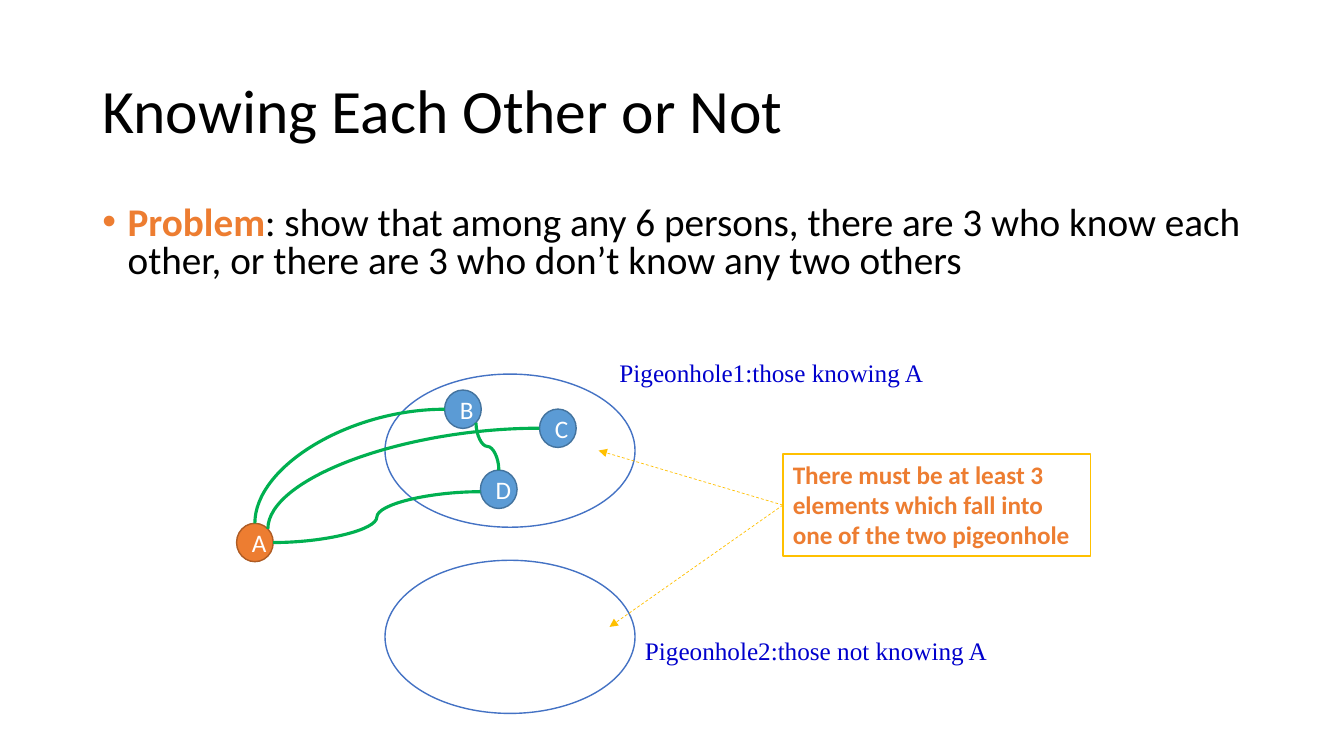
from lxml import etree
from pptx import Presentation
from pptx.dml.color import RGBColor
from pptx.enum.dml import MSO_LINE
from pptx.enum.shapes import MSO_CONNECTOR, MSO_SHAPE
from pptx.enum.text import MSO_ANCHOR, MSO_AUTO_SIZE, PP_ALIGN
from pptx.oxml.ns import qn
from pptx.util import Pt

OVAL, RECTANGLE = MSO_SHAPE.OVAL, MSO_SHAPE.RECTANGLE
STRAIGHT, CURVE = MSO_CONNECTOR.STRAIGHT, MSO_CONNECTOR.CURVE
DASH = MSO_LINE.DASH
LEFT, CENTER = PP_ALIGN.LEFT, PP_ALIGN.CENTER
TOP, MIDDLE = MSO_ANCHOR.TOP, MSO_ANCHOR.MIDDLE
NO_FIT, GROW = MSO_AUTO_SIZE.NONE, MSO_AUTO_SIZE.SHAPE_TO_FIT_TEXT
LEFT_SIDE = 1
SANS, SERIF = "Calibri", "Times New Roman"
BLACK, WHITE, ORANGE = "000000", "FFFFFF", "ED7D31"
GREEN, GOLD, NAVY = "00B050", "FFC000", "0000CC"
PERSON_WIDTH, PERSON_HEIGHT = 26.2, 27.4


def color(hex_value):
    return RGBColor.from_string(hex_value)


def set_font(font, size, hex_value, name=SANS, bold=False):
    font.name, font.size, font.bold = name, Pt(size), bold
    font.color.rgb = color(hex_value)


def place(shape, box):
    shape.left, shape.top, shape.width, shape.height = map(Pt, box)


def add_outlined(slide, kind, box, fill, line):
    shape = slide.shapes.add_shape(kind, *map(Pt, box))
    shape.shadow.inherit = False
    shape.fill.solid()
    shape.fill.fore_color.rgb = color(fill)
    shape.line.color.rgb = color(line)
    shape.line.width = Pt(1)
    return shape


def add_line(slide, kind, start, end, hex_value, width):
    connector = slide.shapes.add_connector(kind, *map(Pt, (*start, *end)))
    connector.line.color.rgb = color(hex_value)
    connector.line.width = Pt(width)
    etree.SubElement(connector._element.spPr, qn("a:effectLst"))
    return connector


def add_bend(slide, start, end):
    """Curve that leaves sideways and arrives vertically."""
    bend = add_line(slide, CURVE, start, end, GREEN, 2.25)
    bend._element.spPr.find(qn("a:prstGeom")).set("prst", "curvedConnector2")


def add_upright_wave(slide, start, end):
    """S-curve that leaves and arrives vertically: a sideways one turned by 270°."""
    middle_x, middle_y = (start[0] + end[0]) / 2, (start[1] + end[1]) / 2
    half_length, half_width = (end[1] - start[1]) / 2, (end[0] - start[0]) / 2
    wave = add_line(slide, CURVE, (middle_x + half_length, middle_y - half_width),
                    (middle_x - half_length, middle_y + half_width), GREEN, 2.25)
    wave._element.spPr.find(qn("a:xfrm")).set("rot", "16200000")


def fill_title(slide, box):
    title = slide.shapes.title
    place(title, box)
    frame = title.text_frame
    frame.text = "Knowing Each Other or Not"
    frame.vertical_anchor, frame.auto_size = MIDDLE, NO_FIT
    paragraph = frame.paragraphs[0]
    paragraph.alignment, paragraph.line_spacing = LEFT, 0.9
    set_font(paragraph.font, 44, BLACK)


def fill_problem(slide, box):
    body = slide.placeholders[1]
    place(body, box)
    frame = body.text_frame
    frame.vertical_anchor, frame.auto_size = TOP, NO_FIT
    paragraph = frame.paragraphs[0]
    paragraph.line_spacing, paragraph.space_before = 0.8, Pt(0)
    properties = paragraph._p.get_or_add_pPr()
    properties.set("marL", str(Pt(18)))
    properties.set("indent", str(-Pt(18)))
    etree.SubElement(properties, qn("a:buFont")).set("typeface", "Arial")
    etree.SubElement(properties, qn("a:buChar")).set("char", "•")
    for text, hex_value, bold in (
            ("Problem", ORANGE, True),
            (": show that among any 6 persons, there are 3 who know each other, "
             "or there are 3 who don’t know any two others", BLACK, False)):
        run = paragraph.add_run()
        run.text = text
        set_font(run.font, 28, hex_value, bold=bold)


def add_label(slide, text, box):
    label = slide.shapes.add_textbox(*map(Pt, box))
    frame = label.text_frame
    frame.word_wrap, frame.auto_size = False, GROW
    frame.text = text
    set_font(frame.paragraphs[0].font, 18, NAVY, SERIF)


def add_person(slide, name, left, top, fill="5B9BD5", line="43739E"):
    person = add_outlined(slide, OVAL, (left, top, PERSON_WIDTH, PERSON_HEIGHT), fill, line)
    frame = person.text_frame
    frame.text, frame.vertical_anchor = name, MIDDLE
    paragraph = frame.paragraphs[0]
    paragraph.alignment = CENTER
    set_font(paragraph.font, 18, WHITE)


def draw_pigeonholes(slide, box):
    left, top, width, height = box

    # Two pigeonholes and their labels
    hole_left, hole_width, hole_height = left + 106, 178.6, 109.4
    for hole_top in (top + 15.2, top + 148.2):
        add_outlined(slide, OVAL, (hole_left, hole_top, hole_width, hole_height), WHITE, "4472C4")
    add_label(slide, "Pigeonhole1:those knowing A", (left + 266.4, top, 234, 29))
    add_label(slide, "Pigeonhole2:those not knowing A", (left + 284.6, top + 198.6, 261, 29))

    # Persons
    a_left, a_top = left, top + 121.8
    b_left, b_top = left + 148.6, top + 26.6
    c_left, c_top = left + 216.4, top + 40.2
    d_left, d_top = left + 174.2, top + 83.8
    add_person(slide, "A", a_left, a_top, ORANGE, "AF5C24")
    for name, x, y in (("B", b_left, b_top), ("C", c_left, c_top), ("D", d_left, d_top)):
        add_person(slide, name, x, y)

    # Acquaintances
    half_width, half_height = PERSON_WIDTH / 2, PERSON_HEIGHT / 2
    add_bend(slide, (b_left, b_top + half_height), (a_left + half_width, a_top))
    add_bend(slide, (c_left, c_top + half_height), (a_left + 22.4, a_top + 4))
    add_line(slide, CURVE, (d_left, d_top + 15.4),
             (a_left + PERSON_WIDTH, a_top + half_height), GREEN, 2.25)
    add_upright_wave(slide, (b_left + 22.4, b_top + 23.4), (d_left + half_width, d_top))

    # Conclusion with an arrow into each pigeonhole
    note_left, note_top, note_width, note_height = left + 390.2, top + 72.4, 219.6, 72.8
    note = add_outlined(slide, RECTANGLE, (note_left, note_top, note_width, note_height), WHITE, GOLD)
    frame = note.text_frame
    frame.word_wrap, frame.auto_size, frame.vertical_anchor = True, GROW, TOP
    frame.text = "There must be at least 3 elements which fall into one of the two pigeonhole"
    frame.paragraphs[0].alignment = LEFT
    set_font(frame.paragraphs[0].font, 18, ORANGE, bold=True)
    for target in ((left + 258.6, top + 69.8), (left + 266.4, top + 195.8)):
        arrow = add_line(slide, STRAIGHT, (note_left, note_top + note_height / 2), target, GOLD, 0.5)
        arrow.begin_connect(note, LEFT_SIDE)
        arrow.line.dash_style = DASH
        etree.SubElement(arrow.line._get_or_add_ln(), qn("a:tailEnd")).set("type", "triangle")


def main():
    presentation = Presentation()
    presentation.slide_width, presentation.slide_height = Pt(960), Pt(540)
    slide = presentation.slides.add_slide(presentation.slide_layouts[1])
    fill_title(slide, (66, 28.8, 828, 104.4))
    fill_problem(slide, (66, 144, 828, 67))
    draw_pigeonholes(slide, (169, 252, 616, 258))
    presentation.save("out.pptx")


if __name__ == "__main__":
    main()
